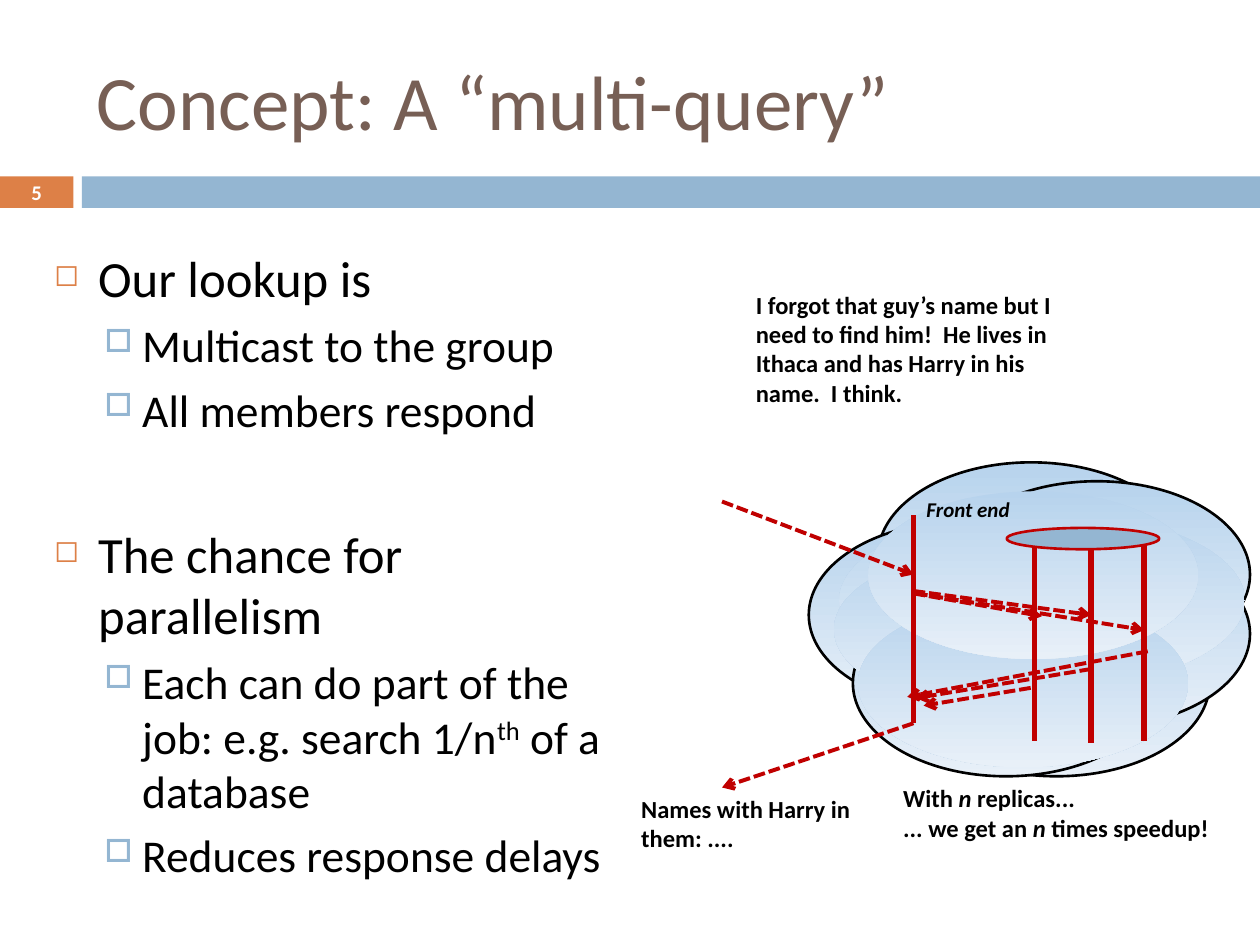
"""Build the multi-query concept slide."""
from pptx import Presentation
from pptx.dml.color import RGBColor
from pptx.enum.dml import MSO_LINE
from pptx.enum.shapes import MSO_CONNECTOR, MSO_SHAPE
from pptx.enum.text import MSO_ANCHOR, PP_ALIGN
from pptx.oxml.ns import qn
from pptx.util import Pt
from lxml.etree import SubElement

BLACK, WHITE, BROWN = "000000", "FFFFFF", "775F55"
ORANGE, BLUE, RED = "DD8047", "94B6D2", "C00000"
SKY = ("B7D3ED", "E8F0F8")

TITLE = "Concept: A “multi-query”"
BULLETS = [
    (0, 0, ["Our lookup is"]),
    (1, 5.5, ["Multicast to the group"]),
    (1, 5.5, ["All members respond"]),
    (0, 49.4, ["The chance for parallelism"]),
    (1, 5.5, ["Each can do part of the job: e.g. search 1/n", "th", " of a database"]),
    (1, 5.5, ["Reduces response delays"]),
]
LEVELS = [
    {"size": 29, "indent": 25.2, "hang": 25.2, "mark": "◻", "color": ORANGE, "scale": 60},
    {"size": 26, "indent": 50.4, "hang": 21.6, "mark": "□", "color": BLUE, "scale": 70},
]
QUESTION = ("I forgot that guy’s name but I need to find him!  He lives in "
            "Ithaca and has Harry in his name.  I think.")
ANSWER = "Names with Harry in them: ...."
SPEEDUP = [["With ", "n", " replicas..."], ["... we get an ", "n ", "times speedup!"]]

PUFF_SIZE = (175, 106.6)
PUFFS = [(501.8, 264.2), (539.3, 275), (516.2, 337), (462.2, 298.1), (487.4, 337), (539.3, 308.9)]
PATCHES = [
    (479.5, 292.3, 231.8, 101.5), (476.6, 314.6, 183.6, 90),
    (490.3, 342.7, 188.6, 95.8), (496.1, 280.8, 188.6, 95.8),
]
FRONT_X, STALK_LENGTH = 522, 118.8
REPLICAS = [(653.8, 304.6), (591.1, 304.6), (623.5, 306)]
MESSAGES = [
    (412.6, 286.6, FRONT_X, 328.3),
    (FRONT_X, 339.1, 595.4, 352.1), (FRONT_X, 337.7, 623.5, 351.4), (523.4, 339.1, 653.8, 360),
    (655.9, 372.2, 518.4, 398.2), (623.5, 382.3, 523.4, 398.9), (589, 393.1, 527.8, 403.2),
    (FRONT_X, 413.3, 412.6, 450),
]


def rgb(value):
    return RGBColor.from_string(value)


def add_block(shapes, kind, frame, fill, line=None, width=1.5):
    block = shapes.add_shape(kind, *map(Pt, frame))
    block.shadow.inherit = False
    if isinstance(fill, tuple):
        block.fill.gradient()
        block.fill.gradient_angle = 270
        for stop, color, position in zip(block.fill.gradient_stops, fill, (0, 1)):
            stop.color.rgb = rgb(color)
            stop.position = position
    else:
        block.fill.solid()
        block.fill.fore_color.rgb = rgb(fill)
    if line:
        block.line.color.rgb = rgb(line)
        block.line.width = Pt(width)
    else:
        block.line.fill.background()


def add_line(shapes, ends, width, arrow=False):
    line = shapes.add_connector(MSO_CONNECTOR.STRAIGHT, *map(Pt, ends))
    line.line.color.rgb = rgb(RED)
    line.line.width = Pt(width)
    if arrow:
        line.line.dash_style = MSO_LINE.SQUARE_DOT
        SubElement(line.line._get_or_add_ln(), qn("a:tailEnd"), type="arrow")
    SubElement(line._element.spPr, qn("a:effectLst"))


def add_box(shapes, frame, anchor=MSO_ANCHOR.TOP):
    text = shapes.add_textbox(*map(Pt, frame)).text_frame
    text.word_wrap = True
    text.vertical_anchor = anchor
    return text


def style(para, size, color=BLACK, bold=False, italic=False):
    font = para.font
    font.name, font.size, font.bold, font.italic = "Calibri", Pt(size), bold, italic
    font.color.rgb = rgb(color)


def add_label(shapes, frame, words, size, color=BLACK, bold=True, italic=False,
              anchor=MSO_ANCHOR.TOP):
    text = add_box(shapes, frame, anchor)
    para = text.paragraphs[0]
    para.text = words
    style(para, size, color, bold, italic)
    return text


def add_bullets(shapes, frame):
    text = add_box(shapes, frame)
    for index, (depth, before, spans) in enumerate(BULLETS):
        level = LEVELS[depth]
        para = text.add_paragraph() if index else text.paragraphs[0]
        para.level = depth
        para.space_before = Pt(before)
        props = para._p.get_or_add_pPr()
        props.set("marL", str(Pt(level["indent"])))
        props.set("indent", str(-Pt(level["hang"])))
        SubElement(SubElement(props, qn("a:buClr")), qn("a:srgbClr"), val=level["color"])
        SubElement(props, qn("a:buSzPct"), val=str(level["scale"] * 1000))
        SubElement(props, qn("a:buChar"), char=level["mark"])
        style(para, level["size"])
        for words in spans:
            span = para.add_run()
            span.text = words
            if words == "th":
                span.font._element.set("baseline", "30000")


def add_speedup(shapes, frame):
    para = add_box(shapes, frame).paragraphs[0]
    style(para, 14, bold=True)
    for index, spans in enumerate(SPEEDUP):
        if index:
            para.add_line_break()
        for words in spans:
            span = para.add_run()
            span.text = words
            if words.strip() == "n":
                span.font.italic = True


def add_cloud(shapes):
    cloud = shapes.add_group_shape().shapes
    for corner in PUFFS:
        add_block(cloud, MSO_SHAPE.OVAL, corner + PUFF_SIZE, SKY, BLACK)
    for patch in PATCHES:
        add_block(cloud, MSO_SHAPE.OVAL, patch, SKY)


def main():
    deck = Presentation()
    deck.slide_width, deck.slide_height = Pt(720), Pt(540)
    shapes = deck.slides.add_slide(deck.slide_layouts[6]).shapes

    add_block(shapes, MSO_SHAPE.RECTANGLE, (0, 100.8, 42, 18), ORANGE)
    add_block(shapes, MSO_SHAPE.RECTANGLE, (46.8, 100.8, 673.2, 18), BLUE)
    add_label(shapes, (48.2, 18, 642.2, 77.8), TITLE, 44, BROWN, False, anchor=MSO_ANCHOR.MIDDLE)
    add_bullets(shapes, (23.8, 137.5, 347.8, 360))
    number = add_label(shapes, (0, 100.1, 42, 19.4), "5", 11.9, WHITE, anchor=MSO_ANCHOR.MIDDLE)
    number.paragraphs[0].alignment = PP_ALIGN.CENTER

    add_cloud(shapes)
    add_label(shapes, (424.8, 162, 193.7, 74.9), QUESTION, 14)
    front = add_label(shapes, (509, 280.1, 115.9, 21.6), "Front end", 12, italic=True)
    front.margin_left = Pt(20.4)
    for x, top in [(FRONT_X, 294.5)] + REPLICAS:
        add_line(shapes, (x, top, x, top + STALK_LENGTH), 3)
    add_block(shapes, MSO_SHAPE.OVAL, (575.3, 301.7, 87.1, 12.2), BLUE, RED)
    for ends in MESSAGES:
        add_line(shapes, ends, 2.25, arrow=True)
    add_speedup(shapes, (509, 444.2, 193, 41))
    add_label(shapes, (359.3, 450, 148.3, 41), ANSWER, 14)
    deck.save("out.pptx")


if __name__ == "__main__":
    main()
